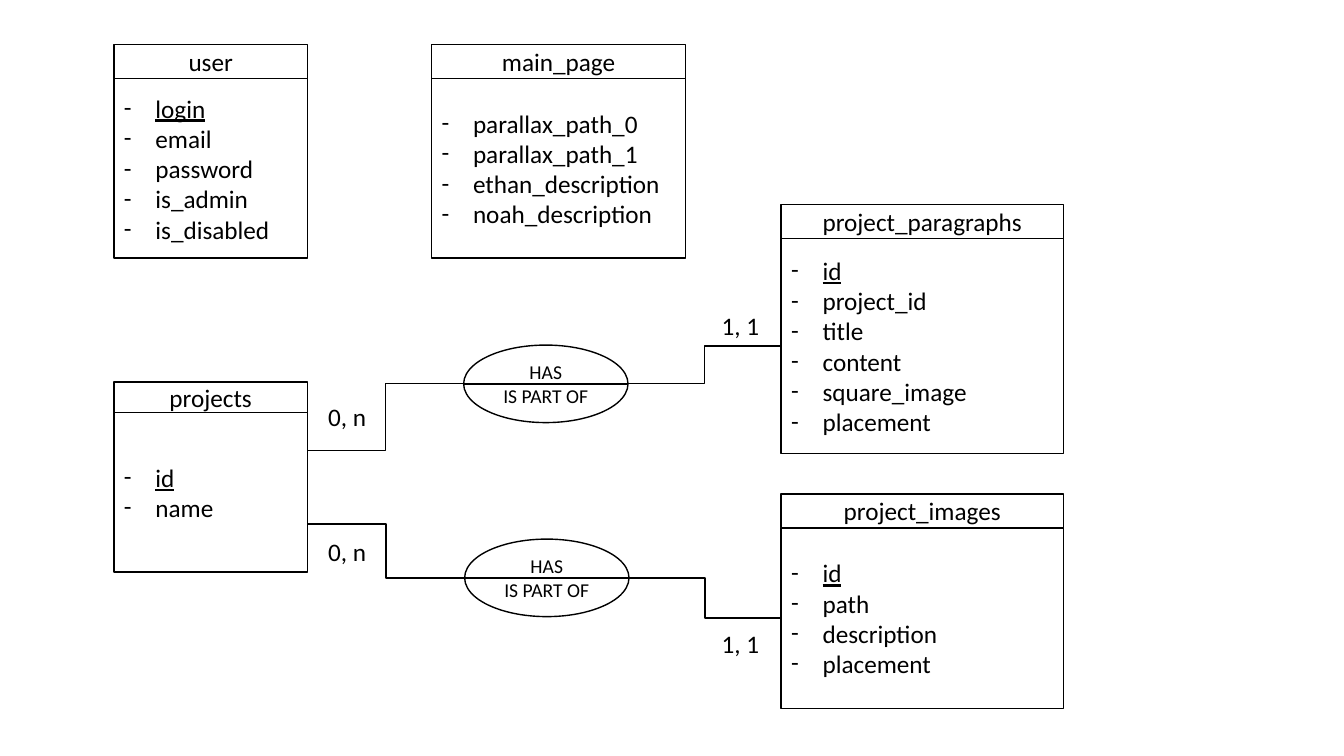
from lxml.etree import SubElement
from pptx import Presentation
from pptx.dml.color import RGBColor
from pptx.enum.shapes import MSO_CONNECTOR, MSO_SHAPE
from pptx.enum.text import MSO_ANCHOR, MSO_AUTO_SIZE, PP_ALIGN
from pptx.oxml.ns import qn
from pptx.util import Pt

FONT = "Calibri"
BLACK = "000000"
WHITE = "FFFFFF"
BULLET_INDENT = 22.5
OVAL_WIDTH, OVAL_HEIGHT = 117.4, 55.4

# name, left, top, width, header height, body height, attributes, key attribute
ENTITIES = [
    ("user", 81.4, 31.7, 138.2, 24.5, 128.2,
     ["login", "email", "password", "is_admin", "is_disabled"], "login"),
    ("projects", 81.4, 272.9, 138.2, 21.8, 113.8, ["id", "name"], "id"),
    ("project_paragraphs", 558, 146.3, 201.6, 24.1, 153.4,
     ["id", "project_id", "title", "content", "square_image", "placement"], "id"),
    ("project_images", 558, 352.9, 201.6, 24.1, 128.9,
     ["id", "path", "description", "placement"], "id"),
    ("main_page", 308.3, 31.7, 181.4, 24.5, 128.2,
     ["parallax_path_0", "parallax_path_1", "ethan_description", "noah_description"], None),
]

# oval left, oval centre height, start height at projects, target entity
RELATIONS = [
    (331.2, 274.2, 322, "project_paragraphs"),
    (331.9, 412.8, 374.4, "project_images"),
]

# text, left, top
CARDINALITIES = [
    ("1, 1", 508.4, 218.3),
    ("0, n", 227.3, 283.4),
    ("0, n", 227.3, 379.4),
    ("1, 1", 508.4, 445.2),
]


def colour(value):
    return RGBColor.from_string(value)


def style_text(frame, size):
    for para in frame.paragraphs:
        for span in para.runs:
            span.font.name = FONT
            span.font.size = Pt(size)
            span.font.color.rgb = colour(BLACK)


def add_outlined(shapes, kind, left, top, width, height, lines, size=18, align=PP_ALIGN.CENTER):
    shape = shapes.add_shape(kind, Pt(left), Pt(top), Pt(width), Pt(height))
    shape.shadow.inherit = False
    shape.fill.solid()
    shape.fill.fore_color.rgb = colour(WHITE)
    shape.line.color.rgb = colour(BLACK)
    shape.line.width = Pt(1)
    frame = shape.text_frame
    frame.word_wrap = True
    frame.vertical_anchor = MSO_ANCHOR.MIDDLE
    frame.text = "\n".join(lines)
    for para in frame.paragraphs:
        para.alignment = align
    style_text(frame, size)
    return shape


def add_line(shapes, kind, start, end):
    line = shapes.add_connector(kind, *(Pt(value) for value in (*start, *end)))
    line.line.color.rgb = colour(BLACK)
    line.line.width = Pt(1)
    SubElement(line._element.spPr, qn("a:effectLst"))
    return line


def add_dash_bullet(para):
    properties = para._p.get_or_add_pPr()
    properties.set("marL", str(Pt(BULLET_INDENT)))
    properties.set("indent", str(-Pt(BULLET_INDENT)))
    SubElement(properties, qn("a:buFont")).set("typeface", FONT)
    SubElement(properties, qn("a:buChar")).set("char", "-")


def add_entity(page, name, left, top, width, header, height, attributes, key):
    shapes = page.shapes.add_group_shape().shapes
    add_outlined(shapes, MSO_SHAPE.RECTANGLE, left, top, width, header, [name])
    body = add_outlined(shapes, MSO_SHAPE.RECTANGLE, left, top + header, width, height,
                        attributes, align=PP_ALIGN.LEFT)
    for para in body.text_frame.paragraphs:
        add_dash_bullet(para)
        if para.text == key:
            para.runs[0].font.underline = True
    return body


def add_relation(page, left, middle, start_height, source, target):
    right = left + OVAL_WIDTH
    source_right = source.left.pt + source.width.pt
    target_middle = target.top.pt + target.height.pt / 2
    add_line(page.shapes, MSO_CONNECTOR.ELBOW, (source_right, start_height), (left, middle))
    link = add_line(page.shapes, MSO_CONNECTOR.ELBOW, (right, middle),
                    (target.left.pt, target_middle))
    link.end_connect(target, 1)

    # Oval split by a horizontal line
    shapes = page.shapes.add_group_shape().shapes
    add_outlined(shapes, MSO_SHAPE.OVAL, left, middle - OVAL_HEIGHT / 2, OVAL_WIDTH,
                 OVAL_HEIGHT, ["HAS", "IS PART OF"], size=14)
    add_line(shapes, MSO_CONNECTOR.STRAIGHT, (left, middle), (right, middle))


def add_cardinality(page, text, left, top):
    box = page.shapes.add_textbox(Pt(left), Pt(top), Pt(41.8), Pt(29))
    frame = box.text_frame
    frame.word_wrap = False
    frame.auto_size = MSO_AUTO_SIZE.SHAPE_TO_FIT_TEXT
    frame.text = text
    style_text(frame, 18)


def main():
    deck = Presentation()
    deck.slide_width, deck.slide_height = Pt(960), Pt(540)
    page = deck.slides.add_slide(deck.slide_layouts[6])

    # Cardinality labels
    for label in CARDINALITIES:
        add_cardinality(page, *label)

    # Entities, kept by name for the links
    bodies = {entity[0]: add_entity(page, *entity) for entity in ENTITIES}

    # Relations from projects
    for left, middle, start_height, target in RELATIONS:
        add_relation(page, left, middle, start_height, bodies["projects"], bodies[target])

    deck.save("out.pptx")


if __name__ == "__main__":
    main()
